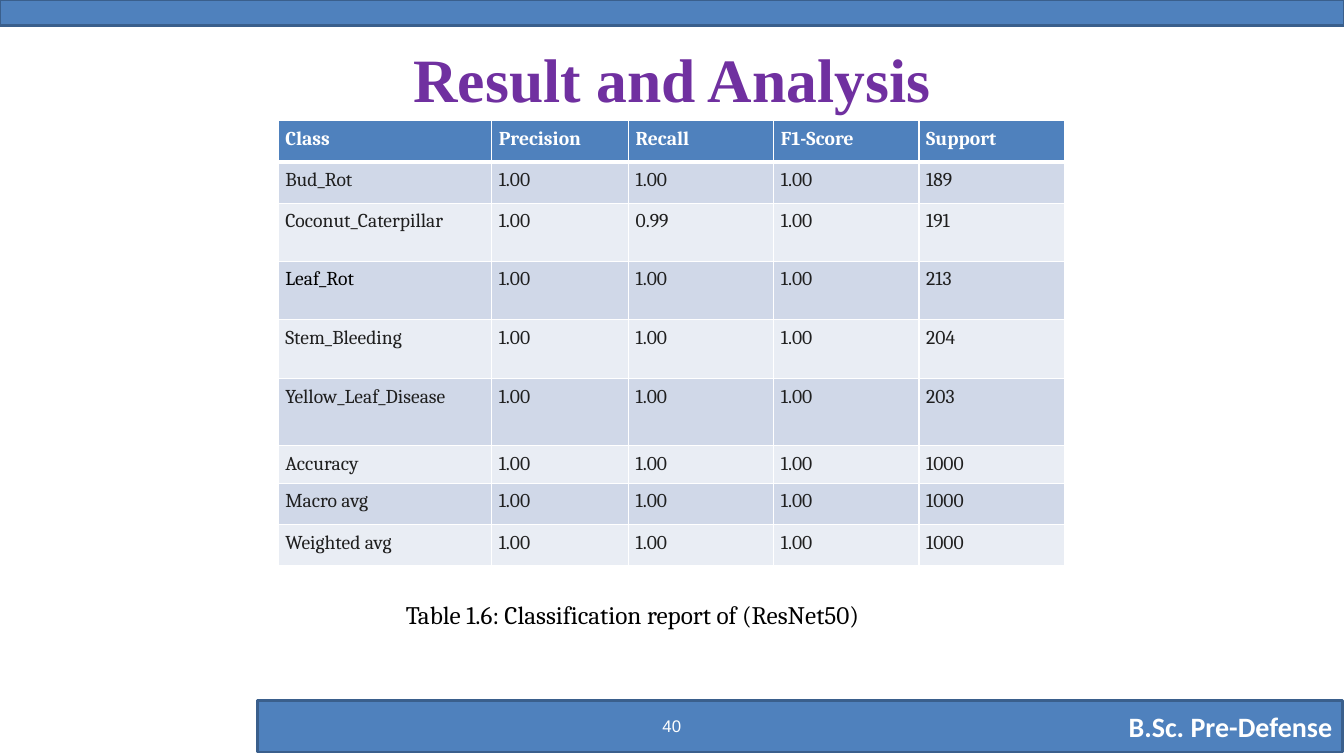
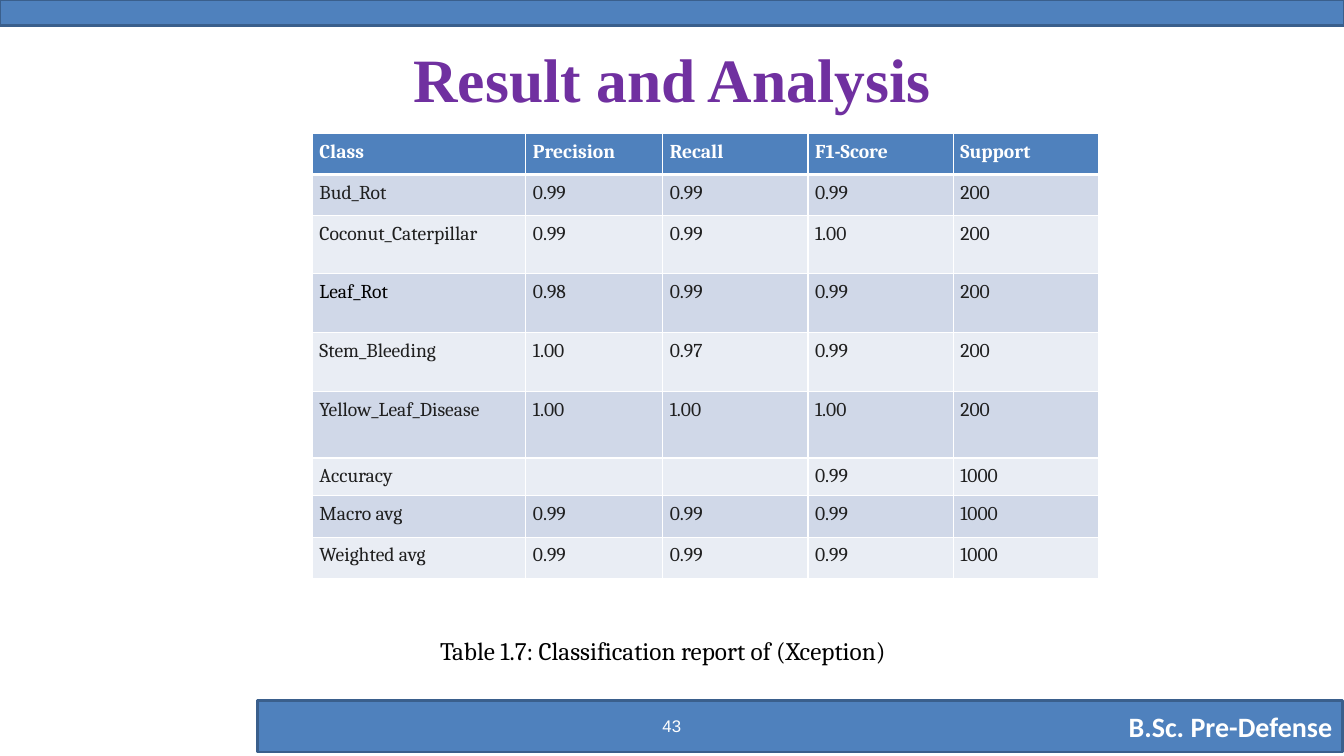
from lxml.etree import SubElement
from pptx import Presentation
from pptx.dml.color import RGBColor
from pptx.enum.shapes import MSO_SHAPE
from pptx.enum.text import MSO_ANCHOR, PP_ALIGN
from pptx.oxml.ns import qn
from pptx.util import Cm, Pt

BLUE = RGBColor(0x4F, 0x81, 0xBD)
DARK_BLUE = RGBColor(0x3A, 0x5F, 0x8C)
PURPLE = RGBColor(0x70, 0x30, 0xA0)
WHITE = RGBColor(0xFF, 0xFF, 0xFF)
BLACK = RGBColor(0x00, 0x00, 0x00)
INK = RGBColor(0x1F, 0x1F, 0x1F)
BAND_DARK = RGBColor(0xD0, 0xD8, 0xE8)
BAND_LIGHT = RGBColor(0xE9, 0xED, 0xF4)

SLIDE_WIDTH, SLIDE_HEIGHT = 33.87, 19.05
COLUMN_WIDTHS = [5.38, 3.45, 3.66, 3.66, 3.66]
ROW_HEIGHTS = [1.04, 1.04, 1.46, 1.48, 1.48, 1.68, 0.94, 1.04, 1.04]
CELL_SIZE = Pt(14)
CELL_MARGIN = Cm(0.18)
CAPTION_INDENT = Cm(3.22)

HEADINGS = ["Class", "Precision", "Recall", "F1-Score", "Support"]
CLASSES = ["Bud_Rot", "Coconut_Caterpillar", "Leaf_Rot", "Stem_Bleeding",
           "Yellow_Leaf_Disease", "Accuracy", "Macro avg", "Weighted avg"]

RESNET_SCORES = [
    ["1.00", "1.00", "1.00", "189"],
    ["1.00", "0.99", "1.00", "191"],
    ["1.00", "1.00", "1.00", "213"],
    ["1.00", "1.00", "1.00", "204"],
    ["1.00", "1.00", "1.00", "203"],
    ["1.00", "1.00", "1.00", "1000"],
    ["1.00", "1.00", "1.00", "1000"],
    ["1.00", "1.00", "1.00", "1000"],
]
XCEPTION_SCORES = [
    ["0.99", "0.99", "0.99", "200"],
    ["0.99", "0.99", "1.00", "200"],
    ["0.98", "0.99", "0.99", "200"],
    ["1.00", "0.97", "0.99", "200"],
    ["1.00", "1.00", "1.00", "200"],
    ["", "", "0.99", "1000"],
    ["0.99", "0.99", "0.99", "1000"],
    ["0.99", "0.99", "0.99", "1000"],
]


def write(frame, text, font_name, size, color, bold=False, align=PP_ALIGN.LEFT):
    frame.text = text
    para = frame.paragraphs[0]
    para.alignment = align
    for span in para.runs:
        span.font.name = font_name
        span.font.size = size
        span.font.bold = bold
        span.font.color.rgb = color


def add_band(page, left, top, width, height):
    band = page.shapes.add_shape(MSO_SHAPE.RECTANGLE, Cm(left), Cm(top), Cm(width), Cm(height))
    band.shadow.inherit = False
    band.fill.solid()
    band.fill.fore_color.rgb = BLUE
    band.line.color.rgb = DARK_BLUE
    band.line.width = Pt(2)
    band.text_frame.vertical_anchor = MSO_ANCHOR.MIDDLE
    return band


def add_text(page, left, top, width, height, anchor=MSO_ANCHOR.MIDDLE):
    """Add a wrapping text box and return its text frame."""
    box = page.shapes.add_textbox(Cm(left), Cm(top), Cm(width), Cm(height))
    box.text_frame.word_wrap = True
    box.text_frame.vertical_anchor = anchor
    return box.text_frame


def add_borders(cell, top, bottom):
    """Draw white cell borders; top and bottom are widths in points."""
    properties = cell._tc.get_or_add_tcPr()
    for tag, width in (("a:lnL", 1), ("a:lnR", 1), ("a:lnT", top), ("a:lnB", bottom)):
        line = SubElement(properties, qn(tag), w=str(Pt(width)))
        fill = SubElement(line, qn("a:solidFill"))
        SubElement(fill, qn("a:srgbClr"), val=str(WHITE))


def fill_cell(cell, text, row, column):
    is_header = row == 0
    add_borders(cell, top=3 if row == 1 else 1, bottom=3 if is_header else 1)
    cell.fill.solid()
    cell.margin_left = cell.margin_right = CELL_MARGIN
    cell.margin_top = cell.margin_bottom = CELL_MARGIN
    if is_header:
        background, color = BLUE, WHITE
    else:
        background = BAND_DARK if row % 2 else BAND_LIGHT
        color = BLACK if text == "Leaf_Rot" else INK
    cell.fill.fore_color.rgb = background
    write(cell.text_frame, text, "Cambria", CELL_SIZE, color, bold=is_header)
    if not text:
        SubElement(cell.text_frame.paragraphs[0]._p, qn("a:endParaRPr"),
                   sz=str(int(CELL_SIZE.pt * 100)))


def add_report_table(page, left, top, scores):
    rows = [HEADINGS] + [[name] + values for name, values in zip(CLASSES, scores)]
    table = page.shapes.add_table(len(rows), len(HEADINGS), Cm(left), Cm(top),
                                  Cm(sum(COLUMN_WIDTHS)), Cm(sum(ROW_HEIGHTS))).table
    for column, width in zip(table.columns, COLUMN_WIDTHS):
        column.width = Cm(width)
    for row, height in zip(table.rows, ROW_HEIGHTS):
        row.height = Cm(height)
    for row, texts in enumerate(rows):
        for column, text in enumerate(texts):
            fill_cell(table.cell(row, column), text, row, column)


def add_page(deck, title, number):
    """Add a blank slide with the shared bands, title and page number."""
    page = deck.slides.add_slide(deck.slide_layouts[6])
    footer = add_band(page, 6.5, 17.65, 27.33, 1.3)
    write(footer.text_frame, "B.Sc. Pre-Defense", "Calibri", Pt(20), WHITE, True, PP_ALIGN.RIGHT)
    add_band(page, 0, 0, SLIDE_WIDTH, 0.64)
    write(add_text(page, 5.51, 0.76, 22.86, 2.41), title,
          "Times New Roman", Pt(44), PURPLE, True, PP_ALIGN.CENTER)
    write(add_text(page, 12.98, 17.78, 7.9, 1.02), number,
          "Arial", Pt(12), WHITE, align=PP_ALIGN.CENTER)
    return page


def add_report_page(deck, number, left, table_top, scores, caption_top, caption):
    page = add_page(deck, "Result and Analysis", number)
    frame = add_text(page, left, caption_top, 21.16, 1.02, MSO_ANCHOR.TOP)
    frame.margin_left = CAPTION_INDENT
    write(frame, caption, "Cambria", Pt(18), BLACK)
    add_report_table(page, left, table_top, scores)


def main():
    deck = Presentation()
    deck.slide_width, deck.slide_height = Cm(SLIDE_WIDTH), Cm(SLIDE_HEIGHT)
    add_report_page(deck, "40", 7.01, 3.04, RESNET_SCORES,
                    14.99, "Table 1.6: Classification report of (ResNet50)")
    add_report_page(deck, "43", 7.87, 3.36, XCEPTION_SCORES,
                    15.88, "Table 1.7: Classification report of (Xception)")
    deck.save("out.pptx")


if __name__ == "__main__":
    main()
